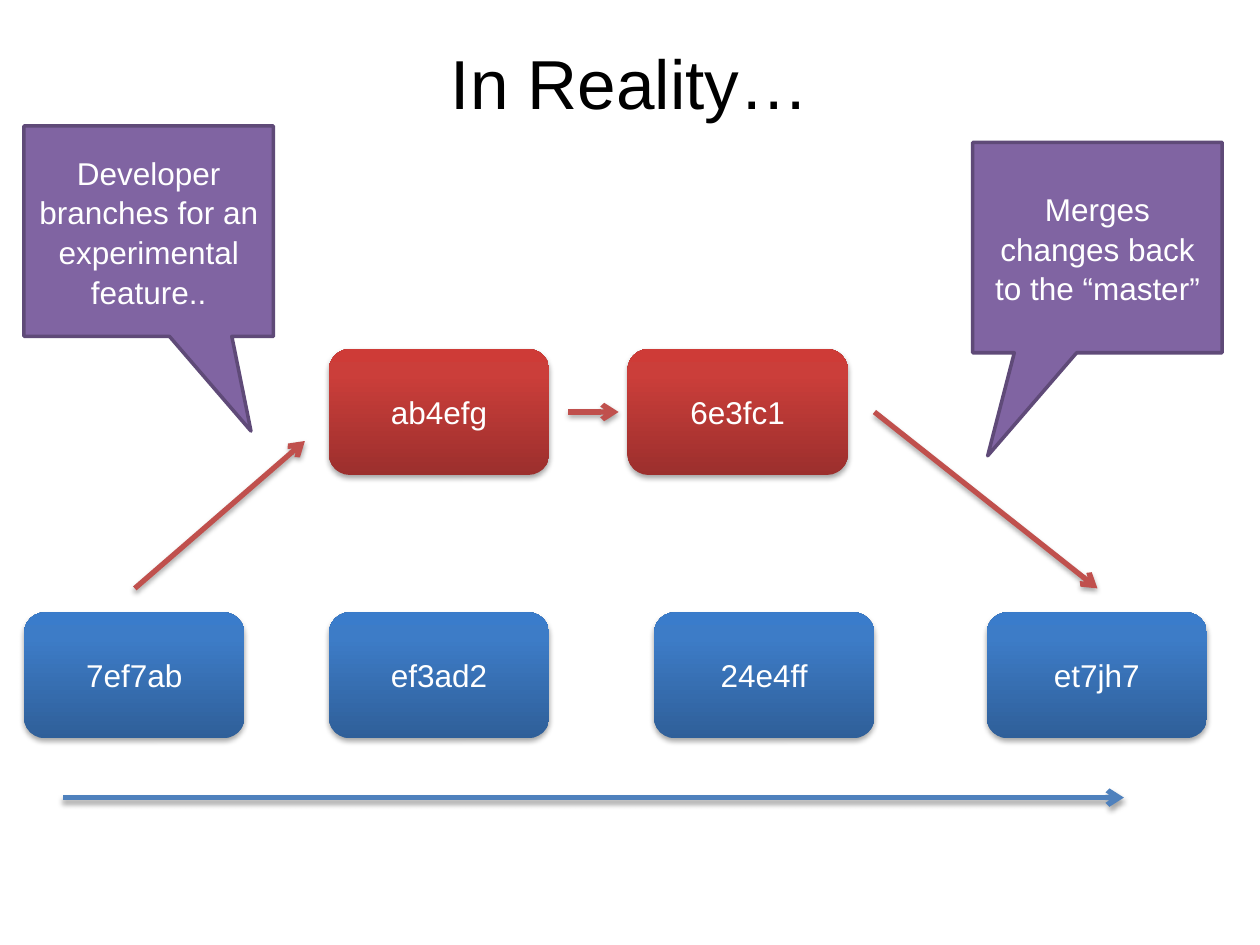
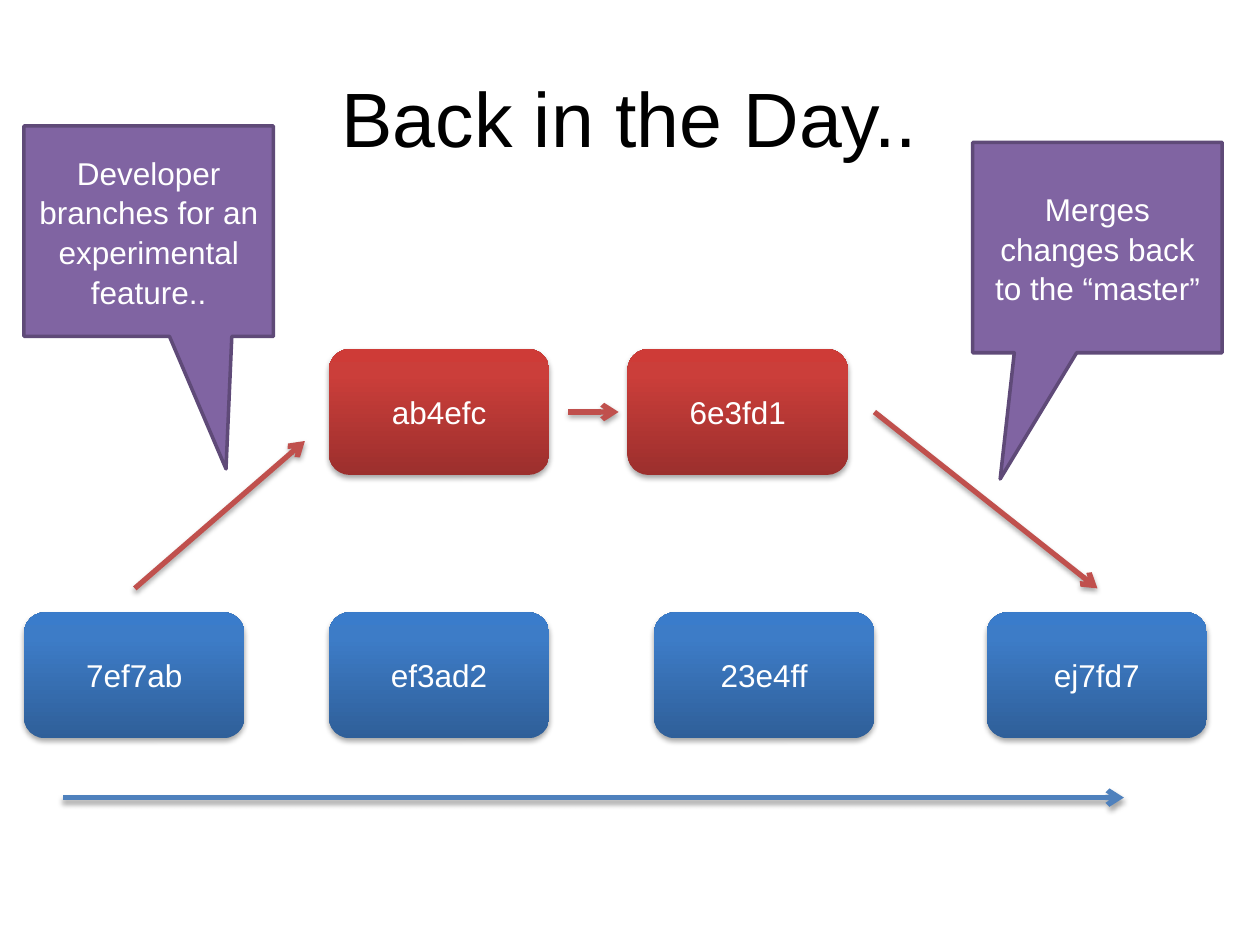
from dataclasses import dataclass

from lxml.etree import SubElement
from pptx import Presentation
from pptx.dml.color import RGBColor
from pptx.enum.shapes import MSO_CONNECTOR, MSO_SHAPE
from pptx.enum.text import MSO_ANCHOR, PP_ALIGN
from pptx.oxml import parse_xml
from pptx.oxml.ns import nsdecls, qn
from pptx.util import Inches, Pt


@dataclass(frozen=True)
class Theme:
    font: str = "Arial"
    ink: str = "000000"
    light: str = "FFFFFF"
    blue: str = "4F81BD"
    red: str = "C0504D"
    note: str = "8064A2"
    edge: str = "5F4A78"
    main: tuple = ((0, "2F5F99"), (80, "3D7CC7"), (100, "3A7CCB"))
    branch: tuple = ((0, "9C2F2D"), (80, "CB3E3A"), (100, "CE3B37"))
    body: float = 18
    arrow: float = 3
    border: float = 2


THEME = Theme()

# Rows of commits: left edges, with one top for each row
MAIN_X, MAIN_Y = (0.19, 2.61, 5.19, 7.83), 4.86
BRANCH_X, BRANCH_Y = (2.61, 4.98), 2.77
BOX_W, BOX_H = 1.75, 1
NOTE_W, NOTE_H = 1.98, 1.67

# Arrows: start, end, colour
ARROWS = (
    ((0.5, 6.33), (8.92, 6.33), THEME.blue),
    ((1.07, 4.67), (2.42, 3.5), THEME.red),
    ((6.94, 3.27), (8.71, 4.67), THEME.red),
    ((4.51, 3.27), (4.91, 3.27), THEME.red),
)

# Notes: left, top, text
NOTES = (
    (0.19, 1, "Developer branches for an experimental feature.."),
    (7.72, 1.13, "Merges changes back to the “master”"),
)

# What differs from slide to slide; tips are callout adjustments
SLIDES = (
    dict(title="In Reality…", height=0.7, size=39.6,
         main=("7ef7ab", "ef3ad2", "24e4ff", "et7jh7"),
         branch=("ab4efg", "6e3fc1"),
         tips=((0.41, 0.95), (-0.44, 0.99))),
    dict(title="Back in the Day..", height=1.25, size=44,
         main=("7ef7ab", "ef3ad2", "23e4ff", "ej7fd7"),
         branch=("ab4efc", "6e3fd1"),
         tips=((0.31, 1.13), (-0.39, 1.1))),
)


def rgb(code):
    return RGBColor.from_string(code)


def write(shape, text, size, color):
    """Centre one styled paragraph in a shape."""
    frame = shape.text_frame
    frame.word_wrap = True
    frame.vertical_anchor = MSO_ANCHOR.MIDDLE
    frame.text = text
    para = frame.paragraphs[0]
    para.alignment = PP_ALIGN.CENTER
    font = para.runs[0].font
    font.name, font.size = THEME.font, Pt(size)
    font.color.rgb = rgb(color)
    return para


def shade(shape):
    """Give a shape or line the soft shadow below it."""
    shape.element.spPr.append(parse_xml(
        f'<a:effectLst {nsdecls("a")}>'
        f'<a:outerShdw blurRad="{Pt(3.1)}" dist="{Pt(1.8)}" dir="5400000" '
        'rotWithShape="0"><a:srgbClr val="000000"><a:alpha val="35000"/>'
        '</a:srgbClr></a:outerShdw></a:effectLst>'))


def blend(shape, stops):
    """Fill a shape with a gradient that runs from bottom to top."""
    marks = "".join(
        f'<a:gs pos="{pos * 1000}"><a:srgbClr val="{code}"/></a:gs>'
        for pos, code in stops)
    outline = shape.element.spPr.find(qn("a:prstGeom"))
    outline.addnext(parse_xml(
        f'<a:gradFill {nsdecls("a")} rotWithShape="1"><a:gsLst>{marks}'
        '</a:gsLst><a:lin ang="16200000" scaled="0"/></a:gradFill>'))


def add_title(slide, text, height, size):
    box = slide.shapes.add_textbox(
        Inches(0.5), Inches(0.3), Inches(9), Inches(height))
    write(box, text, size, THEME.ink)


def add_row(slide, names, lefts, top, stops):
    for name, left in zip(names, lefts):
        box = slide.shapes.add_shape(
            MSO_SHAPE.ROUNDED_RECTANGLE, Inches(left), Inches(top),
            Inches(BOX_W), Inches(BOX_H))
        blend(box, stops)
        box.line.fill.background()
        shade(box)
        write(box, name, THEME.body, THEME.light)


def add_arrow(slide, start, end, color):
    line = slide.shapes.add_connector(
        MSO_CONNECTOR.STRAIGHT, *map(Inches, start + end))
    line.line.color.rgb = rgb(color)
    line.line.width = Pt(THEME.arrow)
    stroke = line.element.spPr.find(qn("a:ln"))
    SubElement(stroke, qn("a:tailEnd"), type="arrow")
    shade(line)


def add_note(slide, left, top, text, tip):
    note = slide.shapes.add_shape(
        MSO_SHAPE.RECTANGULAR_CALLOUT, Inches(left), Inches(top),
        Inches(NOTE_W), Inches(NOTE_H))
    note.adjustments[0], note.adjustments[1] = tip
    note.fill.solid()
    note.fill.fore_color.rgb = rgb(THEME.note)
    note.line.color.rgb = rgb(THEME.edge)
    note.line.width = Pt(THEME.border)
    note.shadow.inherit = False
    write(note, text, THEME.body, THEME.light).line_spacing = 1.05


def main():
    deck = Presentation()
    deck.slide_width, deck.slide_height = Inches(10), Inches(7.5)
    for data in SLIDES:
        slide = deck.slides.add_slide(deck.slide_layouts[6])
        add_title(slide, data["title"], data["height"], data["size"])
        add_row(slide, data["main"], MAIN_X, MAIN_Y, THEME.main)
        add_row(slide, data["branch"], BRANCH_X, BRANCH_Y, THEME.branch)
        for arrow in ARROWS:
            add_arrow(slide, *arrow)
        for note, tip in zip(NOTES, data["tips"]):
            add_note(slide, *note, tip)
    deck.save("out.pptx")


if __name__ == "__main__":
    main()
